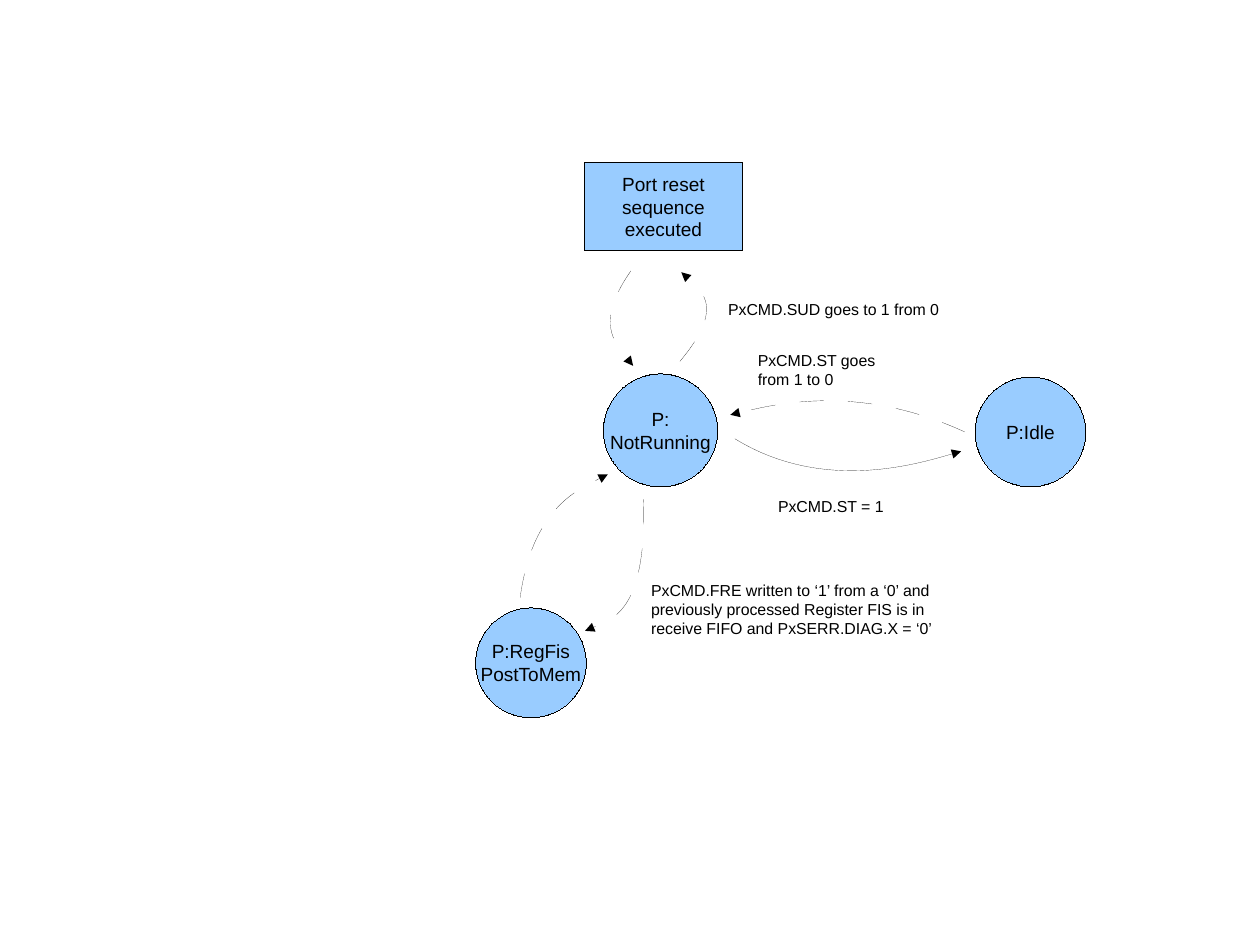
from lxml.etree import SubElement
from pptx import Presentation
from pptx.dml.color import RGBColor
from pptx.enum.shapes import MSO_SHAPE as SHAPE
from pptx.enum.text import MSO_ANCHOR as ANCHOR, MSO_AUTO_SIZE as AUTO, PP_ALIGN as ALIGN
from pptx.oxml.ns import qn
from pptx.util import Cm, Pt

FONT, BLACK, BLUE = "Arial", "000000", "99CCFF"
CIRCLE, BOX = SHAPE.FLOWCHART_CONNECTOR, SHAPE.RECTANGLE
LABEL_WIDTH = 6.88
STEPS = 24

# shape, left, top, width, height (cm), text, wrap
STATES = [
    (BOX, 12.98, 3.61, 3.53, 1.96, "Port reset sequence executed", True),
    (CIRCLE, 13.41, 8.31, 2.54, 2.51, "P:\nNotRunning", False),
    (CIRCLE, 21.67, 8.38, 2.46, 2.44, "P:Idle", False),
    (CIRCLE, 10.57, 13.51, 2.46, 2.44, "P:RegFis\nPostToMem", False),
]
# left, top, height (cm), paragraphs
LABELS = [
    (15.93, 6.53, 0.64, ["PxCMD.SUD goes to 1 from 0"]),
    (16.59, 7.67, 1.04, ["PxCMD.ST goes", "from 1 to 0"]),
    (17.04, 10.92, 0.64, ["PxCMD.ST = 1"]),
    (14.22, 12.78, 1.42, ["PxCMD.FRE written to ‘1’ from a ‘0’ and previously processed "
                          "Register FIS is in receive FIFO and PxSERR.DIAG.X = ‘0’"]),
]
# start, bend, end (cm), dashed
TRANSITIONS = [
    ((15.11, 8.03), (16.18, 6.76), (15.14, 6.05), True),
    ((14.02, 6.02), (13.16, 7.24), (14.07, 8.13), True),
    ((14.3, 11.1), (14.38, 13.69), (13, 14.02), True),
    ((11.56, 13.28), (11.84, 11.23), (13.51, 10.54), True),
    ((21.44, 9.6), (18.97, 8.46), (16.23, 9.22), True),
    ((16.33, 9.75), (18.36, 11), (21.36, 10.03), False),
]


def rgb(code):
    return RGBColor.from_string(code)


def hairline(sp):
    """Give the shape a black line of zero width and return its a:ln."""
    sp.shadow.inherit = False
    sp.line.color.rgb = rgb(BLACK)
    ln = sp._element.spPr.find(qn("a:ln"))
    ln.set("w", "0")
    return ln


def write(tf, paragraphs, size, align):
    for i, text in enumerate(paragraphs):
        p = tf.paragraphs[0] if i == 0 else tf.add_paragraph()
        p.alignment = align
        for j, line in enumerate(text.split("\n")):
            if j:
                p.add_line_break()
            r = p.add_run()
            r.text = line
            r.font.name, r.font.size = FONT, Pt(size)
            r.font.color.rgb = rgb(BLACK)


def add_state(s, kind, left, top, width, height, text, wrap):
    sp = s.shapes.add_shape(kind, Cm(left), Cm(top), Cm(width), Cm(height))
    sp.fill.solid()
    sp.fill.fore_color.rgb = rgb(BLUE)
    hairline(sp)
    tf = sp.text_frame
    tf.word_wrap = wrap
    tf.vertical_anchor = ANCHOR.MIDDLE
    write(tf, [text], 12, ALIGN.CENTER)


def add_label(s, left, top, height, paragraphs):
    tf = s.shapes.add_textbox(Cm(left), Cm(top), Cm(LABEL_WIDTH), Cm(height)).text_frame
    tf.word_wrap = True
    tf.auto_size = AUTO.SHAPE_TO_FIT_TEXT
    write(tf, paragraphs, 10, ALIGN.LEFT)


def curve_point(start, bend, end, t):
    """Point of a cubic curve whose second control point is its end."""
    u = 1 - t
    return tuple(Cm(u**3 * a + 3 * u * u * t * b + (3 * u * t * t + t**3) * c)
                 for a, b, c in zip(start, bend, end))


def add_transition(s, start, bend, end, dashed):
    """Frame the curve by sampled points, then draw it as one cubic segment."""
    points = [curve_point(start, bend, end, i / STEPS) for i in range(STEPS + 1)]
    builder = s.shapes.build_freeform(*points[0])
    builder.add_line_segments(points[1:], close=False)
    sp = builder.convert_to_shape()
    path = next(sp._element.iter(qn("a:path")))
    for segment in path.findall(qn("a:lnTo")):
        path.remove(segment)
    cubic = SubElement(path, qn("a:cubicBezTo"))
    for x, y in (bend, end, end):
        SubElement(cubic, qn("a:pt"), x=str(Cm(x) - sp.left), y=str(Cm(y) - sp.top))

    sp.fill.background()
    ln = hairline(sp)
    if dashed:
        dash = SubElement(ln, qn("a:custDash"))
        SubElement(dash, qn("a:ds"), d="2000000", sp="2000000")
    SubElement(ln, qn("a:tailEnd"), type="triangle")


def main():
    prs = Presentation()
    prs.slide_width, prs.slide_height = Cm(28), Cm(21)
    s = prs.slides.add_slide(prs.slide_layouts[6])
    for add, rows in ((add_state, STATES), (add_label, LABELS),
                      (add_transition, TRANSITIONS)):
        for row in rows:
            add(s, *row)
    prs.save("out.pptx")


if __name__ == "__main__":
    main()
